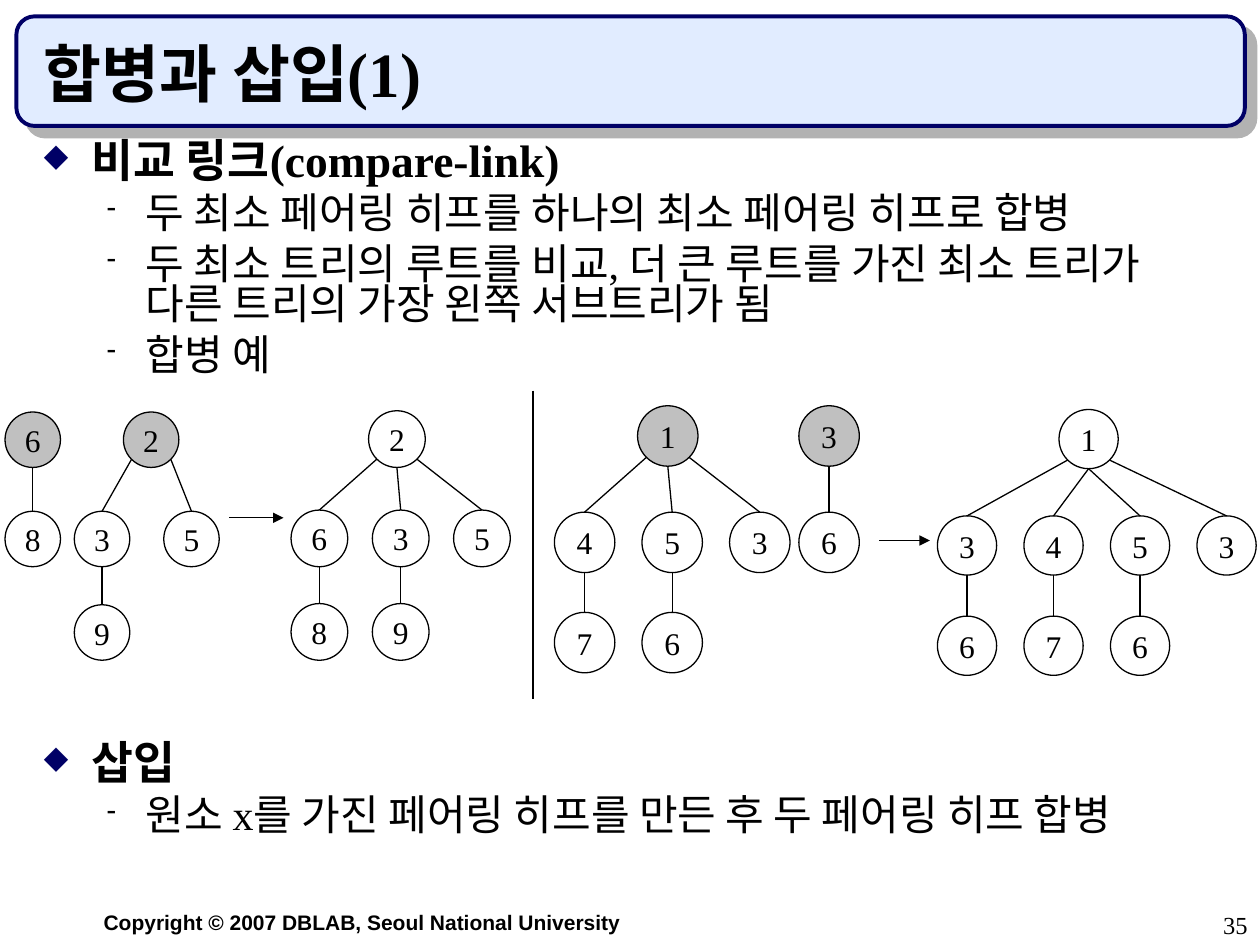
from dataclasses import dataclass
from lxml import etree
from pptx import Presentation
from pptx import util as u
from pptx.dml.color import RGBColor
from pptx.enum import shapes, text
from pptx.oxml import ns

Inches = u.Inches


@dataclass(frozen=True)
class Theme:
    ink: str = "000000"
    navy: str = "000066"
    banner: str = "E1ECFF"
    shadow: str = "B2B2B2"
    root: str = "C0C0C0"
    serif: str = "Times New Roman"
    sans: str = "Arial"
    title: float = 36
    heading: float = 26
    body: float = 24
    node: float = 18
    number: float = 14
    footer: float = 12
    thin: float = 0.75
    thick: float = 2.25


@dataclass(frozen=True)
class Box:
    left: float
    top: float
    width: float
    height: float

    def lengths(self):
        return [Inches(v) for v in (self.left, self.top, self.width, self.height)]


THEME = Theme()


def color(value):
    return RGBColor.from_string(value)


def add_xml(parent, tag, **attributes):
    return etree.SubElement(parent, ns.qn(tag), attributes)


def add_run(paragraph, words, size, bold=False, font=THEME.serif):
    run = paragraph.add_run()
    run.text = words
    run.font.name, run.font.size, run.font.bold = font, u.Pt(size), bold
    run.font.color.rgb = color(THEME.ink)


def add_text_box(slide, box):
    frame = slide.shapes.add_textbox(*box.lengths()).text_frame
    frame.word_wrap = True
    return frame


def add_line(slide, start, end, arrow=False):
    line = slide.shapes.add_connector(
        shapes.MSO_CONNECTOR.STRAIGHT, *[Inches(v) for v in (*start, *end)])
    line.line.color.rgb = color(THEME.ink)
    line.line.width = u.Pt(THEME.thin)
    if arrow:
        add_xml(line.line._get_or_add_ln(), "a:tailEnd", type="triangle")
    add_xml(line._element.spPr, "a:effectLst")
    return line


# Title banner with a hard offset shadow
def add_banner(slide, box, title):
    banner = slide.shapes.add_shape(shapes.MSO_SHAPE.ROUNDED_RECTANGLE, *box.lengths())
    banner.fill.solid()
    banner.fill.fore_color.rgb = color(THEME.banner)
    banner.line.color.rgb = color(THEME.navy)
    banner.line.width = u.Pt(THEME.thick)
    banner.shadow.inherit = False
    effects = banner._element.spPr.find(ns.qn("a:effectLst"))
    shadow = add_xml(effects, "a:outerShdw", blurRad="0", dist=str(u.Pt(8.5)),
                     dir="2700000", algn="ctr", rotWithShape="0")
    add_xml(shadow, "a:srgbClr", val=THEME.shadow)

    frame = add_text_box(slide, Box(box.left + 0.12, box.top + 0.12, 9.42, 0.67))
    frame.vertical_anchor = text.MSO_ANCHOR.BOTTOM
    add_run(frame.paragraphs[0], title, THEME.title, bold=True)


def set_bullet(paragraph, mark, mark_color, percent, margin, indent):
    properties = paragraph._p.get_or_add_pPr()
    properties.set("marL", str(Inches(margin)))
    properties.set("indent", str(Inches(-indent)))
    add_xml(add_xml(properties, "a:buClr"), "a:srgbClr", val=mark_color)
    add_xml(properties, "a:buSzPct", val=str(percent * 1000))
    add_xml(properties, "a:buChar", char=mark)


# Heading followed by its dashed points
def add_section(slide, box, heading, points):
    frame = add_text_box(slide, box)
    paragraph = frame.paragraphs[0]
    set_bullet(paragraph, "◆", THEME.navy, 70, 0.38, 0.38)
    paragraph.line_spacing = 0.8
    add_run(paragraph, heading, THEME.heading, bold=True)
    for point in points:
        paragraph = frame.add_paragraph()
        paragraph.level = 1
        set_bullet(paragraph, "-", THEME.ink, 65, 0.81, 0.31)
        paragraph.line_spacing = 0.8
        paragraph.space_before = u.Pt(6)
        add_run(paragraph, point, THEME.body)


def add_node(slide, label, center, top, size, shaded=False):
    node = slide.shapes.add_shape(
        shapes.MSO_SHAPE.OVAL, *Box(center - size / 2, top, size, size).lengths())
    node.shadow.inherit = False
    if shaded:
        node.fill.solid()
        node.fill.fore_color.rgb = color(THEME.root)
    else:
        node.fill.background()
    node.line.color.rgb = color(THEME.ink)
    node.line.width = u.Pt(THEME.thin)
    frame = node.text_frame
    frame.word_wrap = False
    frame.vertical_anchor = text.MSO_ANCHOR.MIDDLE
    paragraph = frame.paragraphs[0]
    paragraph.alignment = text.PP_ALIGN.CENTER
    add_run(paragraph, label, THEME.node)
    return node


def link_node(slide, start, child):
    add_line(slide, start, start).end_connect(child, 0)


# Heap tree: children spread evenly over the box, each with at most one child
def add_tree(slide, box, size, root, root_center, children, shaded=False):
    bottom_top = box.top + box.height - size
    middle_top = box.top + 0.515 * (bottom_top - box.top)
    add_node(slide, root, root_center, box.top, size, shaded)
    last = len(children) - 1
    pitch = (box.width - size) / max(last, 1)
    diagonal = size / 2 * 0.71
    for index, (label, grandchild) in enumerate(children):
        center = box.left + size / 2 + index * pitch
        child = add_node(slide, label, center, middle_top, size)
        # Outer edges leave the root diagonally, inner ones from its bottom
        if last and index in (0, last):
            side = -diagonal if index == 0 else diagonal
            start = (root_center + side, box.top + size / 2 + diagonal)
        else:
            start = (root_center, box.top + size)
        link_node(slide, start, child)
        if grandchild:
            leaf = add_node(slide, grandchild, center, bottom_top, size)
            link_node(slide, (center, middle_top + size), leaf)


# Two merge examples with a divider between them
def add_examples(slide, box):
    left, top = box.left, box.top
    add_tree(slide, Box(left + 0.04, top + 0.17, 0.44, 1.97), 0.44,
             "6", left + 0.26, [("8", None)], shaded=True)
    add_tree(slide, Box(left + 0.59, top + 0.17, 1.15, 1.97), 0.44,
             "2", left + 1.2, [("3", "9"), ("5", None)], shaded=True)
    add_line(slide, (left + 1.82, top + 1.01), (left + 2.25, top + 1.01), arrow=True)
    add_tree(slide, Box(left + 2.31, top + 0.16, 1.74, 1.98), 0.45,
             "2", left + 3.15, [("6", "8"), ("3", "9"), ("5", None)])

    add_line(slide, (left + 4.23, top), (left + 4.23, top + box.height))

    add_tree(slide, Box(left + 4.4, top + 0.12, 1.87, 2.12), 0.48,
             "1", left + 5.3, [("4", "7"), ("5", "6"), ("3", None)], shaded=True)
    add_tree(slide, Box(left + 6.34, top + 0.12, 0.48, 2.12), 0.48,
             "3", left + 6.58, [("6", None)], shaded=True)
    add_line(slide, (left + 6.98, top + 1.19), (left + 7.38, top + 1.19), arrow=True)
    add_tree(slide, Box(left + 7.44, top + 0.15, 2.53, 2.11), 0.47,
             "1", left + 8.64, [("3", "6"), ("4", "7"), ("5", "6"), ("3", None)])


# Copyright line and page number
def add_footer(slide, box):
    copyright_line = add_text_box(slide, Box(box.left, box.top, 5.25, 0.3)).paragraphs[0]
    copyright_line.alignment = text.PP_ALIGN.CENTER
    add_run(copyright_line, "Copyright © 2007 DBLAB, Seoul National University",
            THEME.footer, bold=True, font=THEME.sans)
    number_left = box.left + box.width - 2.08
    number = add_text_box(slide, Box(number_left, box.top, 2.08, box.height)).paragraphs[0]
    number.alignment = text.PP_ALIGN.RIGHT
    add_run(number, "35", THEME.number)


def main():
    presentation = Presentation()
    presentation.slide_width, presentation.slide_height = Inches(10), Inches(7.5)
    slide = presentation.slides.add_slide(presentation.slide_layouts[6])
    add_banner(slide, Box(0.13, 0.13, 9.75, 0.87), "합병과 삽입(1)")
    add_section(slide, Box(0.25, 1.08, 9.42, 2), "비교 링크(compare-link)", [
        "두 최소 페어링 히프를 하나의 최소 페어링 히프로 합병",
        "두 최소 트리의 루트를 비교, 더 큰 루트를 가진 최소 트리가 "
        "다른 트리의 가장 왼쪽 서브트리가 됨",
        "합병 예",
    ])
    add_examples(slide, Box(0, 3.1, 10, 2.45))
    add_section(slide, Box(0.25, 5.86, 9.42, 1.05), "삽입", [
        "원소 x를 가진 페어링 히프를 만든 후 두 페어링 히프 합병",
    ])
    add_footer(slide, Box(0.25, 7.17, 9.75, 0.33))
    presentation.save("out.pptx")


if __name__ == "__main__":
    main()
